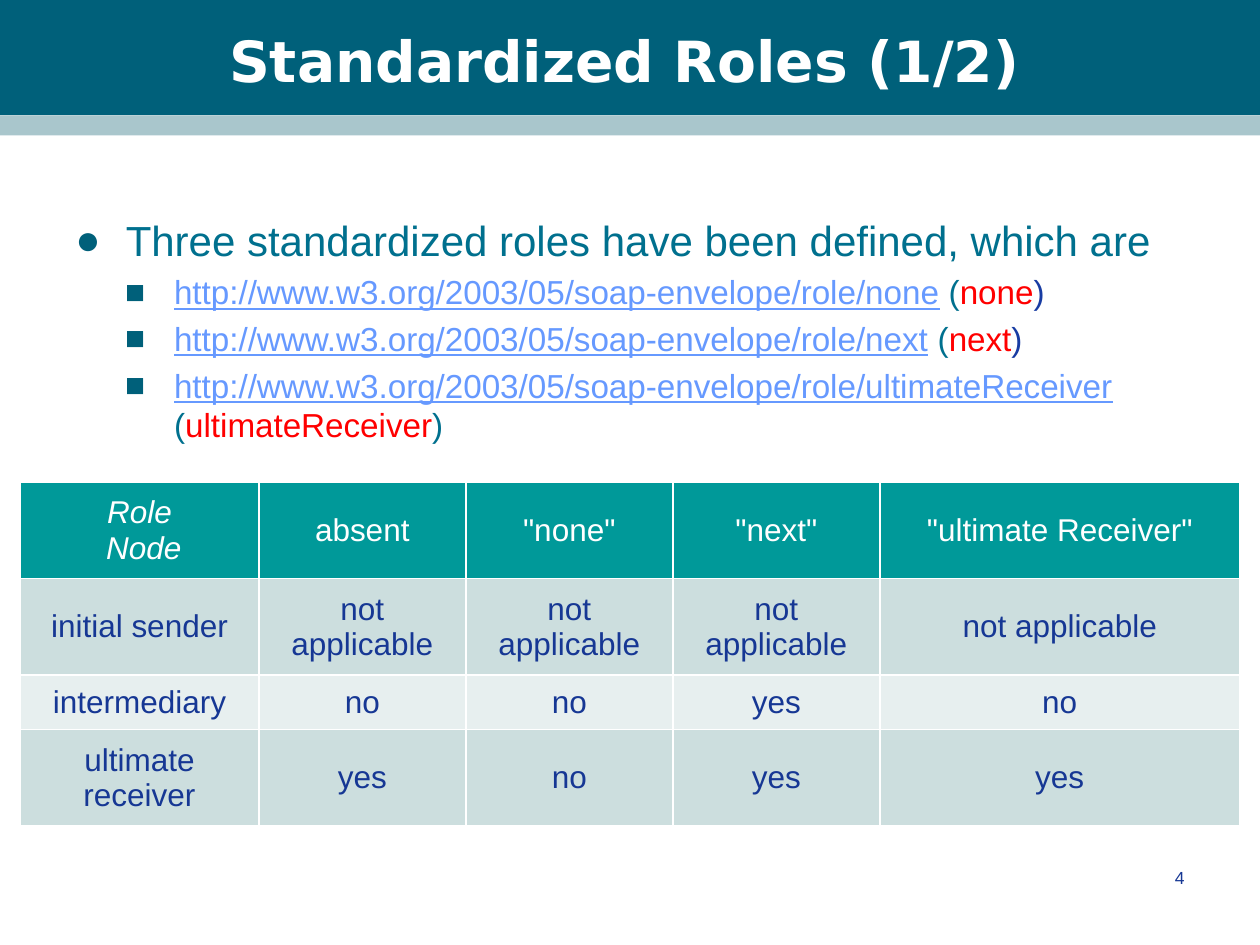
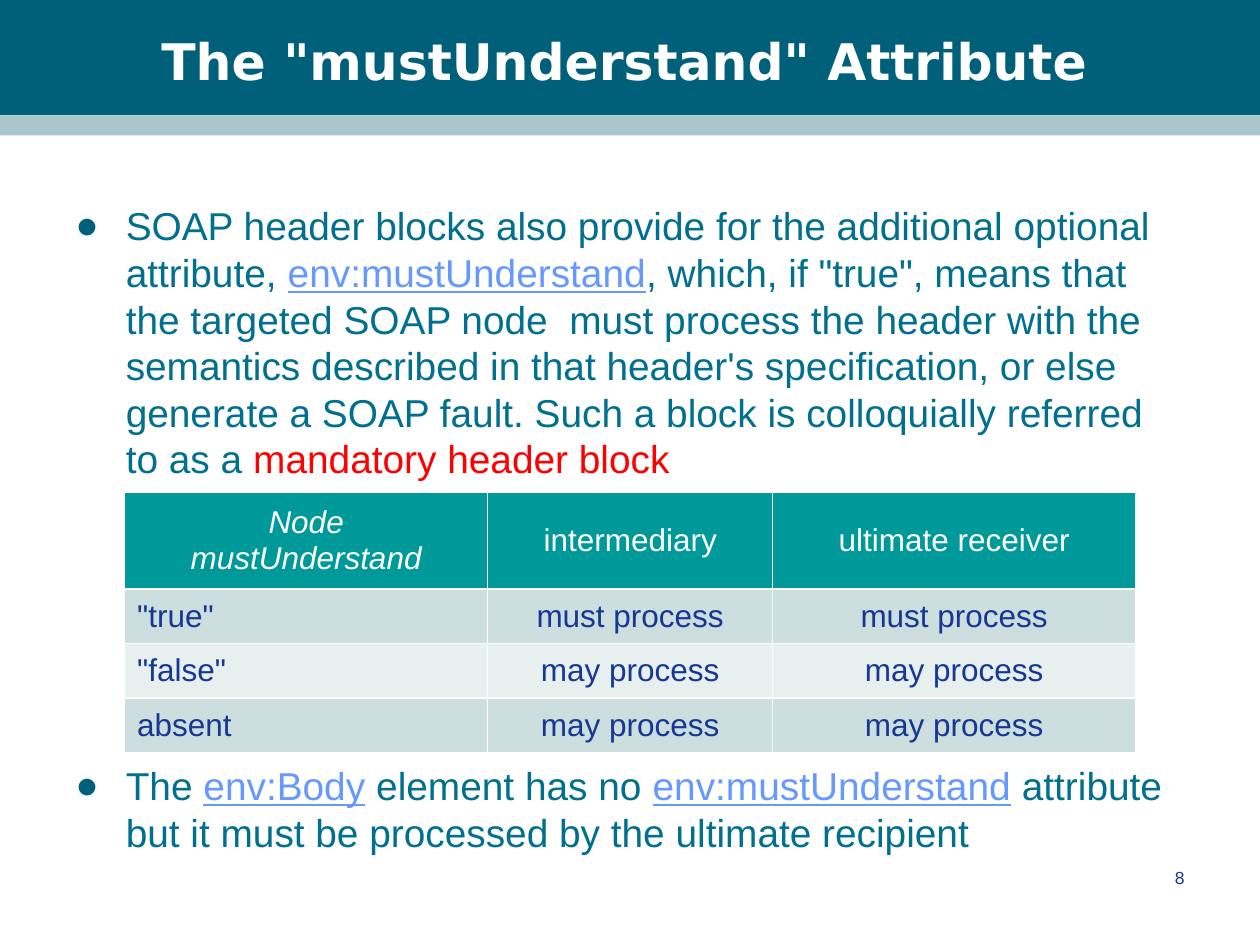
from lxml.etree import SubElement
from pptx import Presentation
from pptx.dml.color import RGBColor
from pptx.enum.shapes import MSO_SHAPE
from pptx.enum.text import MSO_ANCHOR, MSO_AUTO_SIZE, PP_ALIGN
from pptx.oxml.ns import qn
from pptx.util import Pt

COLORS = {
    "band": "00607A",
    "stripe": "A9C6CC",
    "white": "FFFFFF",
    "text": "00708E",
    "link": "6699FF",
    "key": "FF0000",
    "paren": "183CA3",
    "navy": "163794",
    "header": "009999",
    "odd": "CCDEDE",
    "even": "E7EFEF",
}
LEVELS = [("●", 28.8, 28.8), ("■", 56.4, 28)]
ROLE_URL = "http://www.w3.org/2003/05/soap-envelope/role/"


class Deck:
    body_font = "Arial"
    title_font = "DejaVu Sans"

    def __init__(self):
        self.prs = Presentation()
        self.prs.slide_width = Pt(720)
        self.prs.slide_height = Pt(540)
        self.slide = None

    def color(self, name):
        return RGBColor.from_string(COLORS[name])

    def apply(self, target, values):
        for attribute, value in values.items():
            setattr(target, attribute, value)

    def style(self, font, color, size, **values):
        self.apply(font, {"name": self.body_font, "size": Pt(size), **values})
        font.color.rgb = self.color(color)

    def start(self, heading, size, number):
        self.slide = self.prs.slides.add_slide(self.prs.slide_layouts[5])
        self.band(0, 65.8, "band")
        self.band(66, 11.4, "stripe")
        self.title(heading, size)
        self.page_number(number)

    def band(self, top, height, color):
        band = self.slide.shapes.add_shape(
            MSO_SHAPE.RECTANGLE, Pt(0), Pt(top), Pt(720), Pt(height))
        band.shadow.inherit = False
        band.fill.solid()
        band.fill.fore_color.rgb = self.color(color)
        band.line.fill.background()
        self.slide.shapes.title.element.addprevious(band.element)

    def title(self, heading, size):
        title = self.slide.shapes.title
        self.apply(title, {"left": Pt(23.8), "top": Pt(12),
                           "width": Pt(666), "height": Pt(44.6)})
        frame = title.text_frame
        frame.text = heading
        self.apply(frame, {"word_wrap": True, "auto_size": MSO_AUTO_SIZE.NONE,
                           "vertical_anchor": MSO_ANCHOR.MIDDLE})
        paragraph = frame.paragraphs[0]
        paragraph.alignment = PP_ALIGN.CENTER
        self.style(paragraph.font, "white", size, name=self.title_font, bold=True)

    def text_frame(self, left, top, width, height, **values):
        box = self.slide.shapes.add_textbox(Pt(left), Pt(top), Pt(width), Pt(height))
        self.apply(box.text_frame, {"word_wrap": True, **values})
        return box.text_frame

    def page_number(self, number):
        paragraph = self.text_frame(516.2, 491.8, 167.8, 36).paragraphs[0]
        paragraph.text = str(number)
        paragraph.alignment = PP_ALIGN.RIGHT
        self.style(paragraph.font, "navy", 10)

    def bullets(self, top, height, inset, items):
        frame = self.text_frame(36, top, 648, height, margin_top=Pt(inset))
        for index, (level, size, before, parts) in enumerate(items):
            paragraph = frame.add_paragraph() if index else frame.paragraphs[0]
            self.bullet(paragraph, level)
            paragraph.space_before = Pt(before)
            for text, color in parts:
                run = paragraph.add_run()
                run.text = text
                self.style(run.font, color, size, underline=color == "link")

    def bullet(self, paragraph, level):
        mark, margin, hanging = LEVELS[level]
        properties = paragraph._p.get_or_add_pPr()
        properties.set("marL", str(Pt(margin)))
        properties.set("indent", str(Pt(-hanging)))
        mark_color = SubElement(properties, qn("a:buClr"))
        SubElement(mark_color, qn("a:srgbClr"), val=COLORS["band"])
        SubElement(properties, qn("a:buFont"), typeface=self.body_font)
        SubElement(properties, qn("a:buChar"), char=mark)

    def table(self, left, top, widths, heights, rows, label_align):
        table = self.slide.shapes.add_table(
            len(rows), len(widths), Pt(left), Pt(top),
            Pt(sum(widths)), Pt(sum(heights))).table
        for column, width in zip(table.columns, widths):
            column.width = Pt(width)
        for row, height in zip(table.rows, heights):
            row.height = Pt(height)
        for r, texts in enumerate(rows):
            for c, text in enumerate(texts):
                align = label_align if r and not c else PP_ALIGN.CENTER
                self.cell(table.cell(r, c), text, r, align, italic=r == c == 0)

    def cell(self, cell, text, row, align, italic):
        cell.text = text
        cell.vertical_anchor = MSO_ANCHOR.MIDDLE
        for paragraph in cell.text_frame.paragraphs:
            paragraph.alignment = align
            self.style(paragraph.font, "navy" if row else "white", 18,
                       bold=False, italic=italic)
        properties = cell._tc.get_or_add_tcPr()
        for side in "LRTB":
            border = SubElement(properties, qn(f"a:ln{side}"), w=str(Pt(1)))
            fill = SubElement(border, qn("a:solidFill"))
            SubElement(fill, qn("a:srgbClr"), val=COLORS["white"])
        cell.fill.solid()
        shade = "header" if row == 0 else ("odd" if row % 2 else "even")
        cell.fill.fore_color.rgb = self.color(shade)


def role(name, closing):
    return (1, 19, 3.8, [(ROLE_URL + name, "link"), (" (", "text"),
                         (name, "key"), (")", closing)])


def roles_slide(deck):
    deck.start("Standardized Roles (1/2)", 32.4, 4)
    deck.bullets(82.8, 249.8, 39.9, [
        (0, 24, 0, [("Three standardized roles have been defined, which are", "text")]),
        role("none", "paren"),
        role("next", "paren"),
        role("ultimateReceiver", "text"),
    ])
    deck.table(11.5, 275.6, [136.4, 118.3, 118.3, 118.3, 205.6],
               [55.1, 55.1, 31.2, 55.1], [
        ["Role\n Node", "absent", '"none"', '"next"', '"ultimate Receiver"'],
        ["initial sender"] + ["not applicable"] * 4,
        ["intermediary", "no", "no", "yes", "no"],
        ["ultimate receiver", "yes", "no", "yes", "yes"],
    ], PP_ALIGN.CENTER)


def must_understand_slide(deck):
    deck.start('The "mustUnderstand" Attribute', 28.8, 8)
    deck.bullets(88.6, 426.2, 26.8, [
        (0, 22.2, 0, [
            ("SOAP header blocks also provide for the additional optional attribute, ", "text"),
            ("env:mustUnderstand", "link"),
            (', which, if "true", means that the targeted SOAP node  must process '
             "the header with the semantics described in that header's specification, "
             "or else generate a SOAP fault. Such a block is colloquially referred "
             "to as a ", "text"),
            ("mandatory header block", "key"),
        ]),
        (0, 22.2, 160, [
            ("The ", "text"),
            ("env:Body", "link"),
            (" element has no ", "text"),
            ("env:mustUnderstand", "link"),
            (" attribute but it must be processed by the ultimate recipient", "text"),
        ]),
    ])
    deck.table(71.2, 281.4, [207.5, 162.8, 207.5], [55.1, 31.2, 31.2, 31.2], [
        ["Node\nmustUnderstand", "intermediary", "ultimate receiver"],
        ['"true"', "must process", "must process"],
        ['"false"', "may process", "may process"],
        ["absent", "may process", "may process"],
    ], PP_ALIGN.LEFT)


def main():
    deck = Deck()
    roles_slide(deck)
    must_understand_slide(deck)
    deck.prs.save("out.pptx")


if __name__ == "__main__":
    main()
